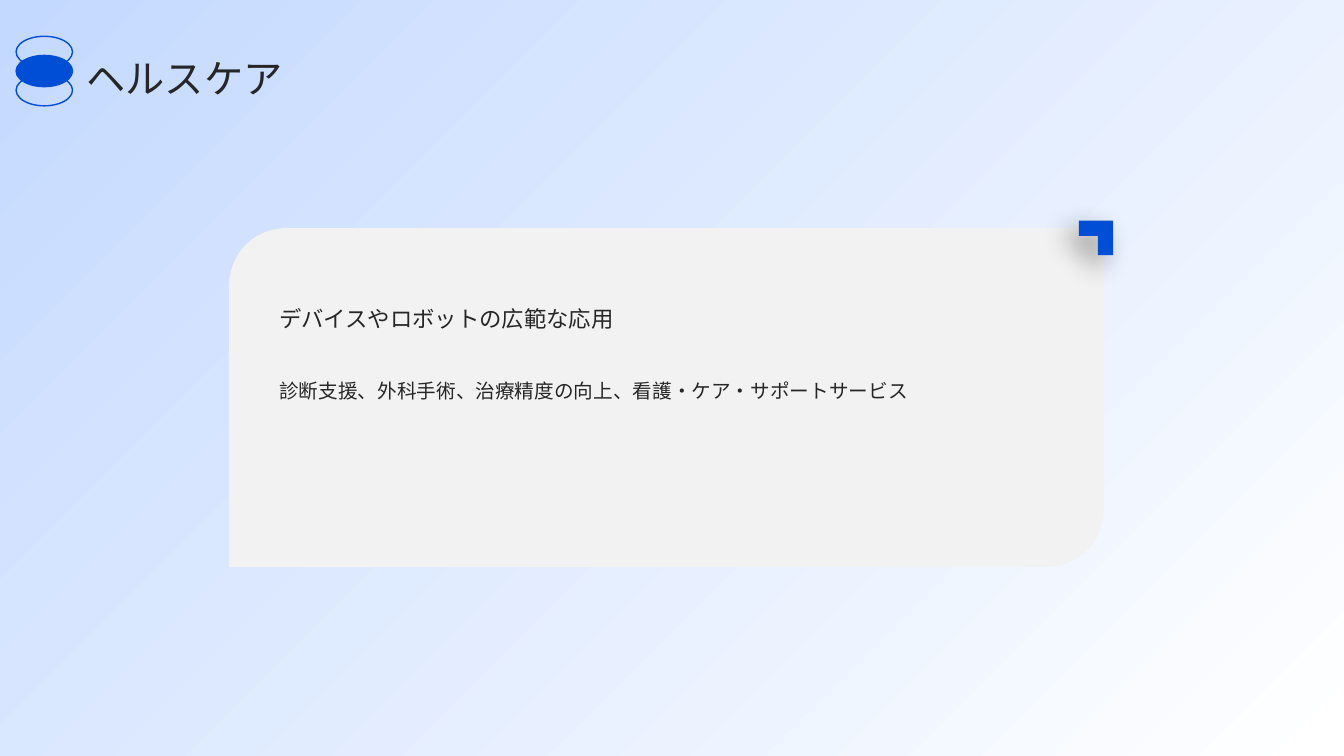
from lxml.etree import SubElement
from pptx import Presentation
from pptx.dml.color import RGBColor
from pptx.enum.shapes import MSO_SHAPE
from pptx.enum.text import MSO_ANCHOR, MSO_AUTO_SIZE, PP_ALIGN
from pptx.oxml import parse_xml
from pptx.oxml.ns import nsdecls, qn
from pptx.util import Inches, Pt

TITLE = "ヘルスケア"
HEADING = "デバイスやロボットの広範な応用"
DETAIL = "診断支援、外科手術、治療精度の向上、看護・ケア・サポートサービス"

FONT = "Noto Sans CJK JP"
BLUE = RGBColor(0x00, 0x4E, 0xD6)
SKY = RGBColor(0xC4, 0xD9, 0xFF)
WHITE = RGBColor(0xFF, 0xFF, 0xFF)
PANEL = RGBColor(0xF2, 0xF2, 0xF2)
INK = RGBColor(0x26, 0x26, 0x26)

W, H = 13.33, 7.5
PANEL_BOX = (2.28, 2.27, 8.66, 3.35)
TEXT_LEFT, TEXT_WIDTH = 2.77, 7.68
DISC_LEFT, DISC_TOP, DISC_W, DISC_H, DISC_STEP = 0.16, 0.36, 0.56, 0.31, 0.19
CORNER_RIGHT, CORNER_TOP, CORNER_SIZE, CORNER_BAND = 11.04, 2.19, 0.34, 0.15


def inches(box):
    return [Inches(v) for v in box]


def add_shape(s, kind, box, fill=None, line=None):
    sp = s.shapes.add_shape(kind, *inches(box))
    sp.shadow.inherit = False
    if fill is None:
        sp.fill.background()
    else:
        sp.fill.solid()
        sp.fill.fore_color.rgb = fill
    if line is None:
        sp.line.fill.background()
    else:
        sp.line.color.rgb = line
        sp.line.width = Pt(1)
    return sp


def set_text(sp, text, box, size, spacing, anchor=MSO_ANCHOR.MIDDLE):
    sp.left, sp.top, sp.width, sp.height = inches(box)
    tf = sp.text_frame
    tf.word_wrap = True
    tf.auto_size = MSO_AUTO_SIZE.NONE
    tf.vertical_anchor = anchor
    tf.margin_left = tf.margin_right = tf.margin_top = tf.margin_bottom = 0
    p = tf.paragraphs[0]
    p.alignment = PP_ALIGN.LEFT
    p.line_spacing = spacing
    r = p.add_run()
    r.text = text
    r.font.size = Pt(size)
    r.font.name = FONT
    r.font.color.rgb = INK
    SubElement(r.font._element, qn("a:ea")).set("typeface", FONT)


def add_backdrop(s):
    sp = add_shape(s, MSO_SHAPE.RECTANGLE, (0, 0, W, H))
    sp.fill.gradient()
    sp.fill.gradient_angle = 315
    for stop, color in zip(sp.fill.gradient_stops, (SKY, WHITE)):
        stop.color.rgb = color
    s.shapes._spTree.insert(2, sp._element)


def add_corner(s):
    right, top = CORNER_RIGHT, CORNER_TOP
    left, bottom = right - CORNER_SIZE, top + CORNER_SIZE
    inner_x, inner_y = right - CORNER_BAND, top + CORNER_BAND
    points = [(right, top), (right, bottom), (inner_x, bottom),
              (inner_x, inner_y), (left, inner_y)]
    builder = s.shapes.build_freeform(Inches(left), Inches(top))
    builder.add_line_segments([inches(point) for point in points], close=True)
    sp = builder.convert_to_shape()
    sp.fill.solid()
    sp.fill.fore_color.rgb = BLUE
    sp.line.fill.background()
    sp._element.spPr.append(parse_xml(
        f'<a:effectLst {nsdecls("a")}><a:outerShdw blurRad="{Pt(20)}" dist="{Pt(10)}" '
        'dir="8100000" algn="tr" rotWithShape="0"><a:srgbClr val="000000">'
        '<a:alpha val="40000"/></a:srgbClr></a:outerShdw></a:effectLst>'))


def main():
    prs = Presentation()
    prs.slide_width, prs.slide_height = Inches(W), Inches(H)
    s = prs.slides.add_slide(prs.slide_layouts[5])
    add_backdrop(s)
    add_shape(s, MSO_SHAPE.ROUND_2_DIAG_RECTANGLE, PANEL_BOX, PANEL, PANEL)
    add_corner(s)
    for text, top, height, size, spacing, anchor in (
            (DETAIL, 3.64, 1.57, 14, 1.5, MSO_ANCHOR.TOP),
            (HEADING, 2.64, 0.96, 16, 1.3, MSO_ANCHOR.MIDDLE)):
        box = (TEXT_LEFT, top, TEXT_WIDTH, height)
        set_text(s.shapes.add_textbox(*inches(box)), text, box, size, spacing, anchor)
    set_text(s.shapes.title, TITLE, (0.86, 0.49, 11.67, 0.51), 28, 1.1)
    for row, fill in ((2, None), (1, BLUE), (0, None)):
        box = (DISC_LEFT, DISC_TOP + row * DISC_STEP, DISC_W, DISC_H)
        add_shape(s, MSO_SHAPE.OVAL, box, fill, BLUE)
    prs.save("out.pptx")


if __name__ == "__main__":
    main()
